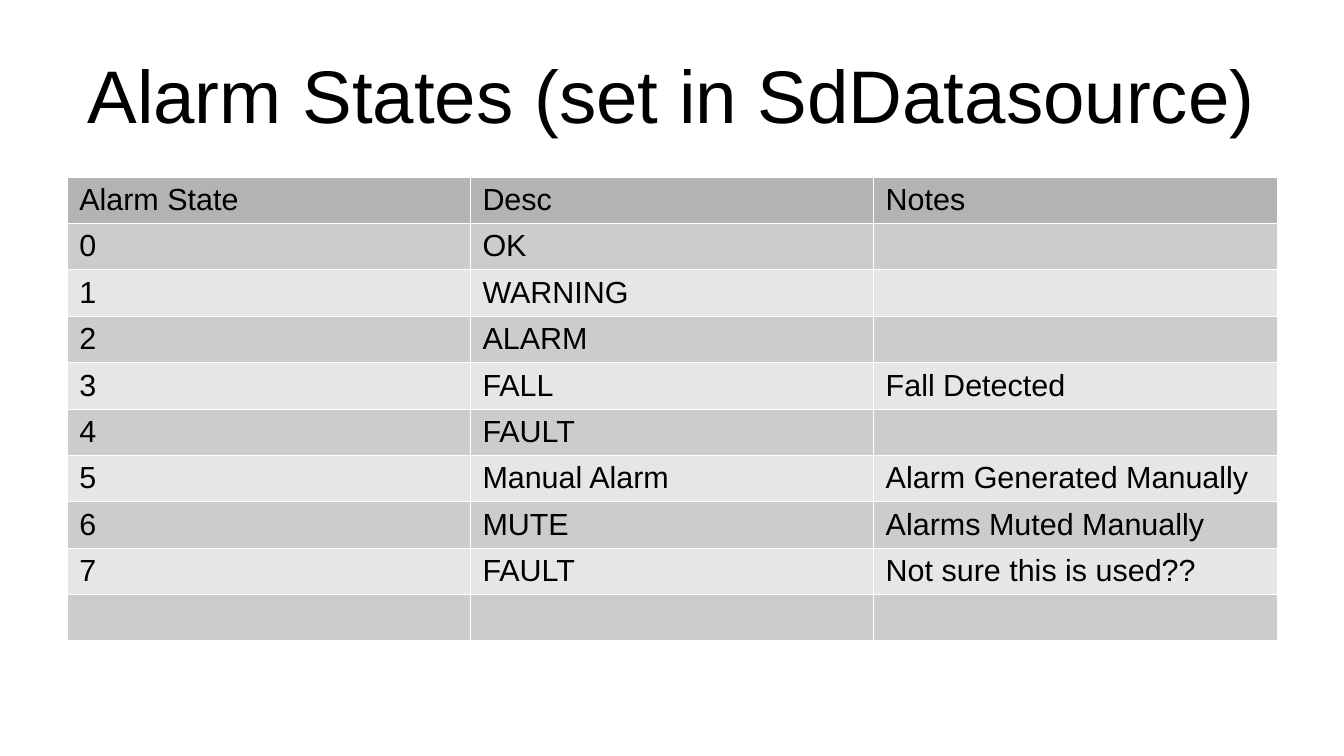
from lxml.etree import SubElement
from pptx import Presentation
from pptx.dml.color import RGBColor
from pptx.enum.text import MSO_ANCHOR, MSO_AUTO_SIZE, PP_ALIGN
from pptx.oxml.ns import qn
from pptx.util import Inches, Pt


def style_text(paragraph, size, color="000000"):
    paragraph.font.name = "Arial"
    paragraph.font.size = Pt(size)
    paragraph.font.bold = False
    paragraph.font.color.rgb = RGBColor.from_string(color)


def add_borders(cell, color, width):
    properties = cell._tc.get_or_add_tcPr()
    for position, side in enumerate(("lnL", "lnR", "lnT", "lnB")):
        line = SubElement(properties, qn(f"a:{side}"), w=str(Pt(width)))
        fill = SubElement(line, qn("a:solidFill"))
        SubElement(fill, qn("a:srgbClr"), val=color)
        properties.insert(position, line)


presentation = Presentation()
presentation.slide_width = Inches(11.02)
presentation.slide_height = Inches(6.2)
slide = presentation.slides.add_slide(presentation.slide_layouts[5])

left, content_width = Inches(0.55), Inches(9.92)

# Title
title = slide.shapes.title
title.left, title.top = left, Inches(0.25)
title.width, title.height = content_width, Inches(1.04)
heading = title.text_frame
heading.text = "Alarm States (set in SdDatasource)"
heading.margin_left = heading.margin_right = 0
heading.margin_top = heading.margin_bottom = 0
heading.vertical_anchor = MSO_ANCHOR.MIDDLE
heading.auto_size = MSO_AUTO_SIZE.NONE
heading.word_wrap = True
heading.paragraphs[0].alignment = PP_ALIGN.CENTER
style_text(heading.paragraphs[0], 44)

# Alarm state table
alarm_states = [
    ("Alarm State", "Desc", "Notes"),
    ("0", "OK", ""),
    ("1", "WARNING", ""),
    ("2", "ALARM", ""),
    ("3", "FALL", "Fall Detected"),
    ("4", "FAULT", ""),
    ("5", "Manual Alarm", "Alarm Generated Manually"),
    ("6", "MUTE", "Alarms Muted Manually"),
    ("7", "FAULT", "Not sure this is used??"),
    ("", "", ""),
]
row_height = Inches(0.38)
states_table = slide.shapes.add_table(
    len(alarm_states), len(alarm_states[0]), left, Inches(1.45),
    content_width, row_height * len(alarm_states)).table
states_table.first_row = False
states_table.horz_banding = False

for row_index, state in enumerate(alarm_states):
    states_table.rows[row_index].height = row_height
    # Header grey first, then alternating bands
    band = "B3B3B3" if row_index == 0 else ("E6E6E6", "CCCCCC")[row_index % 2]
    for column_index, value in enumerate(state):
        cell = states_table.cell(row_index, column_index)
        cell.text = value
        cell.fill.solid()
        cell.fill.fore_color.rgb = RGBColor.from_string(band)
        style_text(cell.text_frame.paragraphs[0], 18)
        add_borders(cell, "FFFFFF", 0.06)

presentation.save("out.pptx")
